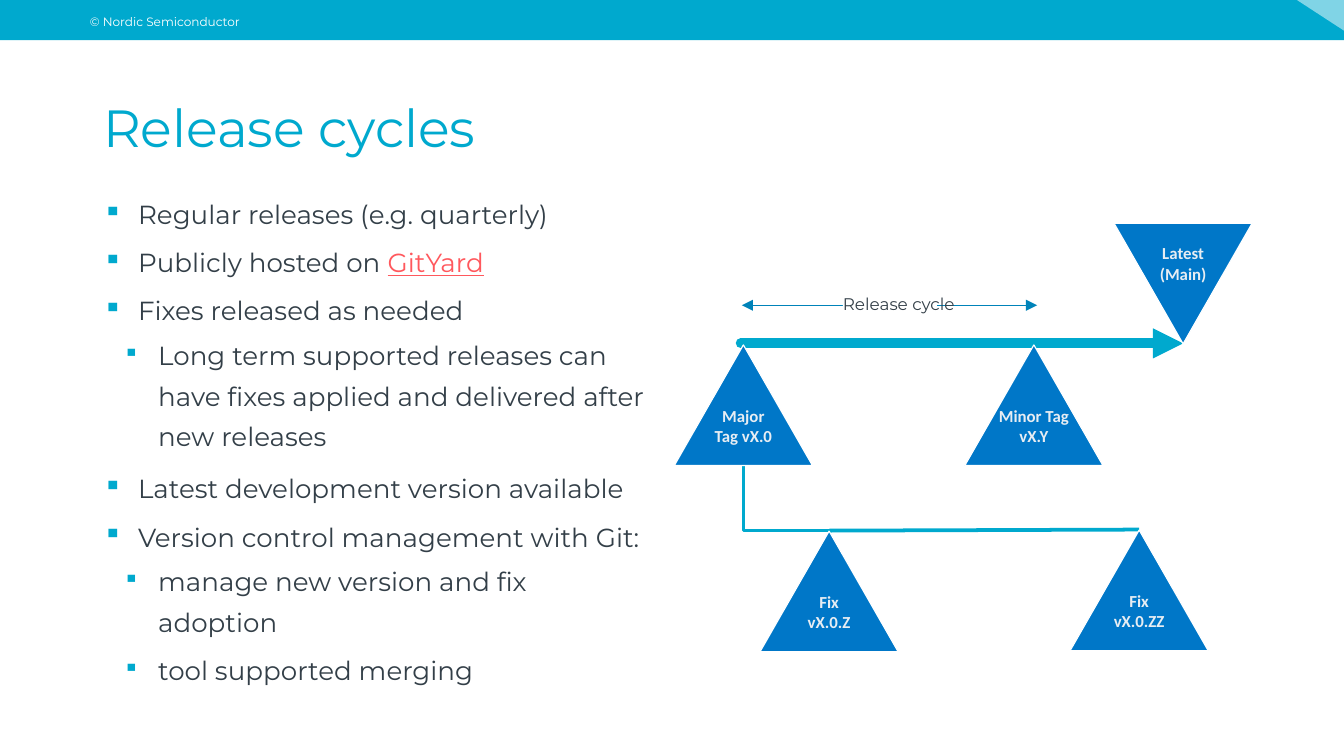
from typing import NamedTuple

from lxml import etree
from pptx import Presentation
from pptx import util as u
from pptx.dml.color import RGBColor
from pptx.enum import shapes, text
from pptx.oxml.ns import qn

Cm, Pt = u.Cm, u.Pt
CYAN = RGBColor(0x00, 0xA9, 0xCE)
BLUE = RGBColor(0x00, 0x77, 0xC8)
STEEL = RGBColor(0x00, 0x83, 0xB9)
DARK = RGBColor(0x33, 0x3F, 0x48)
CORAL = RGBColor(0xFF, 0x58, 0x5D)
PALE = RGBColor(0xE7, 0xED, 0xF3)
WHITE = RGBColor(0xFF, 0xFF, 0xFF)
FONT = "Montserrat"
TAG_W, TAG_H = 2.61, 2.28


class Item(NamedTuple):
    words: str
    level: int = 0
    link: str = ""


class Tag(NamedTuple):
    label: str
    mid: float
    top: float
    down: bool = False


ITEMS = [
    Item("Regular releases (e.g. quarterly)"),
    Item("Publicly hosted on ", link="GitYard"),
    Item("Fixes released as needed"),
    Item("Long term supported releases can have fixes applied "
         "and delivered after new releases", 1),
    Item("Latest development version available"),
    Item("Version control management with Git:"),
    Item("manage new version and fix adoption", 1),
    Item("tool supported merging", 1),
]
TAGS = [
    Tag("Minor Tag\nvX.Y", 19.54, 6.52),
    Tag("Major\nTag vX.0", 14.05, 6.52),
    Tag("Fix\nvX.0.Z", 15.67, 10.04),
    Tag("Fix\nvX.0.ZZ", 21.53, 10.02),
    Tag("Latest\n(Main)", 22.36, 4.22, True),
]


def add_sub(node, name: str, **attrs: str):
    return etree.SubElement(node, qn(name), attrs)


def style(font, size: float, color: RGBColor, name: str = FONT) -> None:
    font.name, font.size = name, Pt(size)
    font.color.rgb = color


def add_block(slide, kind, x: float, y: float, w: float, h: float, fill: RGBColor):
    block = slide.shapes.add_shape(kind, Cm(x), Cm(y), Cm(w), Cm(h))
    block.shadow.inherit = False
    block.fill.solid()
    block.fill.fore_color.rgb = fill
    block.line.fill.background()
    return block


def add_path(slide, points: list[tuple[float, float]], close: bool):
    dots = [(Cm(x), Cm(y)) for x, y in points]
    pen = slide.shapes.build_freeform(*dots[0])
    pen.add_line_segments(dots[1:], close=close)
    path = pen.convert_to_shape()
    path.shadow.inherit = False
    return path


def add_text(slide, x: float, y: float, w: float, h: float, words: str,
             size: float, color: RGBColor):
    frame = slide.shapes.add_textbox(Cm(x), Cm(y), Cm(w), Cm(h)).text_frame
    frame.word_wrap = True
    frame.text = words
    style(frame.paragraphs[0].runs[0].font, size, color)
    return frame


def add_line(slide, x1: float, y1: float, x2: float, y2: float,
             color: RGBColor, width: float, ends: tuple[str, ...] = (),
             cap: str = "flat") -> None:
    line = slide.shapes.add_connector(
        shapes.MSO_CONNECTOR.STRAIGHT, Cm(x1), Cm(y1), Cm(x2), Cm(y2))
    line.line.color.rgb = color
    line.line.width = Pt(width)
    node = line.line._get_or_add_ln()
    node.set("cap", cap)
    for end in ends:
        add_sub(node, end, type="triangle", w="med", len="med")
    add_sub(line._element.spPr, "a:effectLst")


def add_item(para, item: Item) -> None:
    props = para._p.get_or_add_pPr()
    props.set("marL", str(Cm(1.04 if item.level else 0.66)))
    props.set("indent", str(Cm(-0.66)))
    add_sub(add_sub(props, "a:buClr"), "a:srgbClr", val=str(CYAN))
    if item.level:
        add_sub(props, "a:buSzPct", val="85000")
    add_sub(props, "a:buChar", char="▪")
    para.level = item.level
    para.line_spacing = 1.3
    para.add_run().text = item.words
    if item.link:
        para.add_run().text = item.link
    for run in para.runs:
        style(run.font, 14, DARK)
    if item.link:
        para.runs[-1].font.color.rgb = CORAL
        para.runs[-1].font.underline = True


def add_items(slide) -> None:
    box = slide.shapes.add_textbox(Cm(1.7), Cm(3.45), Cm(10.87), Cm(9.63))
    frame = box.text_frame
    frame.word_wrap = True
    for i, item in enumerate(ITEMS):
        para = frame.add_paragraph() if i else frame.paragraphs[0]
        add_item(para, item)
        if i:
            para.space_before = Pt(2 if item.level else 4)
        if item.level:
            para.space_after = Pt(2)


def add_tag(slide, tag: Tag) -> None:
    kinds = shapes.MSO_SHAPE
    kind = kinds.FLOWCHART_MERGE if tag.down else kinds.ISOSCELES_TRIANGLE
    block = add_block(slide, kind, tag.mid - TAG_W / 2, tag.top, TAG_W, TAG_H, BLUE)
    block.line.color.rgb = WHITE
    block.line.width = Pt(0.63)
    frame = block.text_frame
    frame.margin_left = frame.margin_right = frame.margin_top = frame.margin_bottom = 0
    frame.word_wrap = False
    frame.vertical_anchor = (
        text.MSO_ANCHOR.BOTTOM if tag.down else text.MSO_ANCHOR.TOP)
    frame.text = tag.label
    for para in frame.paragraphs:
        para.alignment = text.PP_ALIGN.CENTER
        style(para.runs[0].font, 9, PALE, "Calibri")
        para.runs[0].font.bold = True


def main() -> None:
    deck = Presentation()
    deck.slide_width, deck.slide_height = Cm(25.4), Cm(14.29)
    slide = deck.slides.add_slide(deck.slide_layouts[6])
    rect = shapes.MSO_SHAPE.RECTANGLE

    # Top band
    add_block(slide, rect, 0, 0, 25.4, 0.76, CYAN)
    note = add_text(slide, 1.45, 0.1, 9.22, 0.74, "© Nordic Semiconductor", 6.5, WHITE)
    note.paragraphs[0].line_spacing = 1.2
    fold = add_path(slide, [(24.51, 0), (25.4, 0), (25.4, 0.58)], True)
    fold.fill.solid()
    fold.fill.fore_color.rgb = WHITE
    fold.line.fill.background()
    tint = fold._element.spPr.find(qn("a:solidFill"))[0]
    add_sub(tint, "a:alpha", val="50000")

    # Title and bullets
    title = add_text(slide, 1.7, 1.63, 22, 1.42, "Release cycles", 28, CYAN)
    title.paragraphs[0].line_spacing = Pt(35)
    add_items(slide)

    # Fix branch and main line
    branch = add_path(slide, [(15.67, 10.03), (14.05, 10.03), (14.05, 6.52)], False)
    branch.fill.background()
    branch.line.color.rgb = CYAN
    branch.line.width = Pt(2)
    add_line(slide, 15.67, 10.03, 21.53, 10.01, CYAN, 2)
    add_line(slide, 14, 6.49, 22.36, 6.49, CYAN, 5.38, ("a:tailEnd",), "rnd")

    # Release tags
    for tag in TAGS:
        add_tag(slide, tag)

    # Cycle span
    add_line(slide, 14.02, 5.77, 19.6, 5.77, STEEL, 0.5, ("a:headEnd", "a:tailEnd"))
    add_block(slide, rect, 15.93, 5.59, 1.78, 0.38, WHITE)
    span = add_text(slide, 15.93, 5.56, 2.18, 0.38, "Release cycle", 9, DARK)
    span.margin_left = span.margin_right = span.margin_top = span.margin_bottom = 0
    span.word_wrap = False

    deck.save("out.pptx")


if __name__ == "__main__":
    main()
